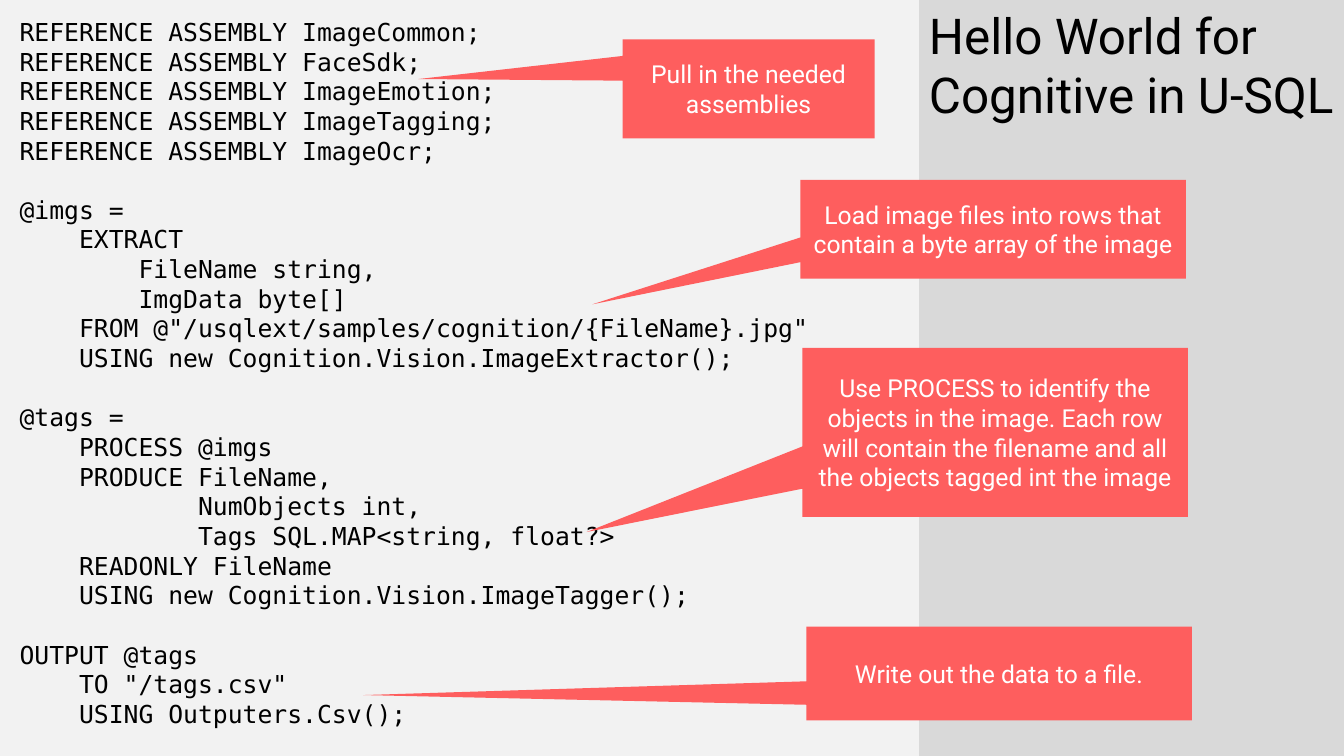
from pptx import Presentation
from pptx.dml.color import RGBColor
from pptx.enum.shapes import MSO_SHAPE as Preset
from pptx.enum.text import MSO_ANCHOR as Anchor, MSO_AUTO_SIZE as AutoSize, PP_ALIGN as Align
from pptx.util import Inches, Pt

COLORS = {
    "background": "F2F2F2",
    "panel": "D9D9D9",
    "callout": "FE5E5E",
    "ink": "000000",
    "callout text": "FFFFFF",
}
TEXT_FONT = "Roboto"
CODE_FONT = "DejaVu Sans Mono"
CODE_PITCH = Pt(21.6)

STATEMENTS = [
    """REFERENCE ASSEMBLY ImageCommon;
REFERENCE ASSEMBLY FaceSdk;
REFERENCE ASSEMBLY ImageEmotion;
REFERENCE ASSEMBLY ImageTagging;
REFERENCE ASSEMBLY ImageOcr;""",
    """@imgs =
    EXTRACT
        FileName string,
        ImgData byte[]
    FROM @"/usqlext/samples/cognition/{FileName}.jpg"
    USING new Cognition.Vision.ImageExtractor();""",
    """@tags =
    PROCESS @imgs
    PRODUCE FileName,
            NumObjects int,
            Tags SQL.MAP<string, float?>
    READONLY FileName
    USING new Cognition.Vision.ImageTagger();""",
    """OUTPUT @tags
    TO "/tags.csv"
    USING Outputers.Csv();""",
]

# Text, box (left, top, width, height), pointer tip relative to the box centre
CALLOUTS = [
    ("Load image files into rows that contain a byte array of the image",
     (8.1, 1.82, 3.9, 1), (-1.04, 0.76)),
    ("Use PROCESS to identify the objects in the image. Each row will contain "
     "the filename and all the objects tagged int the image",
     (8.12, 3.52, 3.9, 1.71), (-1.06, 0.59)),
    ("Write out the data to a file.",
     (8.16, 6.34, 3.9, 0.95), (-1.65, 0.23)),
    ("Pull in the needed assemblies",
     (6.3, 0.4, 2.55, 1), (-1.31, -0.1)),
]


class CodeSlide:
    def __init__(self, deck):
        self.slide = deck.slides.add_slide(deck.slide_layouts[5])
        self.fill(self.slide.background, "background")

    def fill(self, element, color):
        element.fill.solid()
        element.fill.fore_color.rgb = RGBColor.from_string(COLORS[color])

    def style(self, paragraph, size, color, font=TEXT_FONT, align=Align.LEFT):
        paragraph.alignment = align
        paragraph.font.name = font
        paragraph.font.size = Pt(size)
        paragraph.font.color.rgb = RGBColor.from_string(COLORS[color])

    def title_panel(self, text, left, top, width, height):
        title = self.slide.shapes.title
        title.left, title.top = Inches(left), Inches(top)
        title.width, title.height = Inches(width), Inches(height)
        self.fill(title, "panel")
        frame = title.text_frame
        frame.text = text
        frame.auto_size = AutoSize.NONE
        frame.vertical_anchor = Anchor.TOP
        frame.margin_right = Inches(0.05)
        self.style(frame.paragraphs[0], 36, "ink")

    def code(self, statements, left, top, width, height):
        """Sets one paragraph per code line, with a line's gap between statements."""
        box = self.slide.shapes.add_textbox(
            Inches(left), Inches(top), Inches(width), Inches(height))
        frame = box.text_frame
        frame.word_wrap = True
        frame.text = "\n".join(statements)
        statement_starts = {statement.splitlines()[0] for statement in statements[1:]}
        for line in frame.paragraphs:
            line.line_spacing = CODE_PITCH
            if line.text in statement_starts:
                line.space_before = CODE_PITCH
            self.style(line, 18, "ink", CODE_FONT)

    def callout(self, text, box, tip):
        callout = self.slide.shapes.add_shape(
            Preset.RECTANGULAR_CALLOUT, *map(Inches, box))
        callout.adjustments[0], callout.adjustments[1] = tip
        callout.shadow.inherit = False
        callout.line.fill.background()
        self.fill(callout, "callout")
        frame = callout.text_frame
        frame.text = text
        frame.word_wrap = True
        frame.vertical_anchor = Anchor.MIDDLE
        self.style(frame.paragraphs[0], 18, "callout text", align=Align.CENTER)


def main():
    deck = Presentation()
    deck.slide_width, deck.slide_height = Inches(13.6), Inches(7.65)
    page = CodeSlide(deck)
    page.title_panel("Hello World for Cognitive in U-SQL", 9.3, 0, 4.3, 7.65)
    page.code(STATEMENTS, 0.1, 0.12, 8.75, 7.38)
    for text, box, tip in CALLOUTS:
        page.callout(text, box, tip)
    deck.save("out.pptx")


if __name__ == "__main__":
    main()
